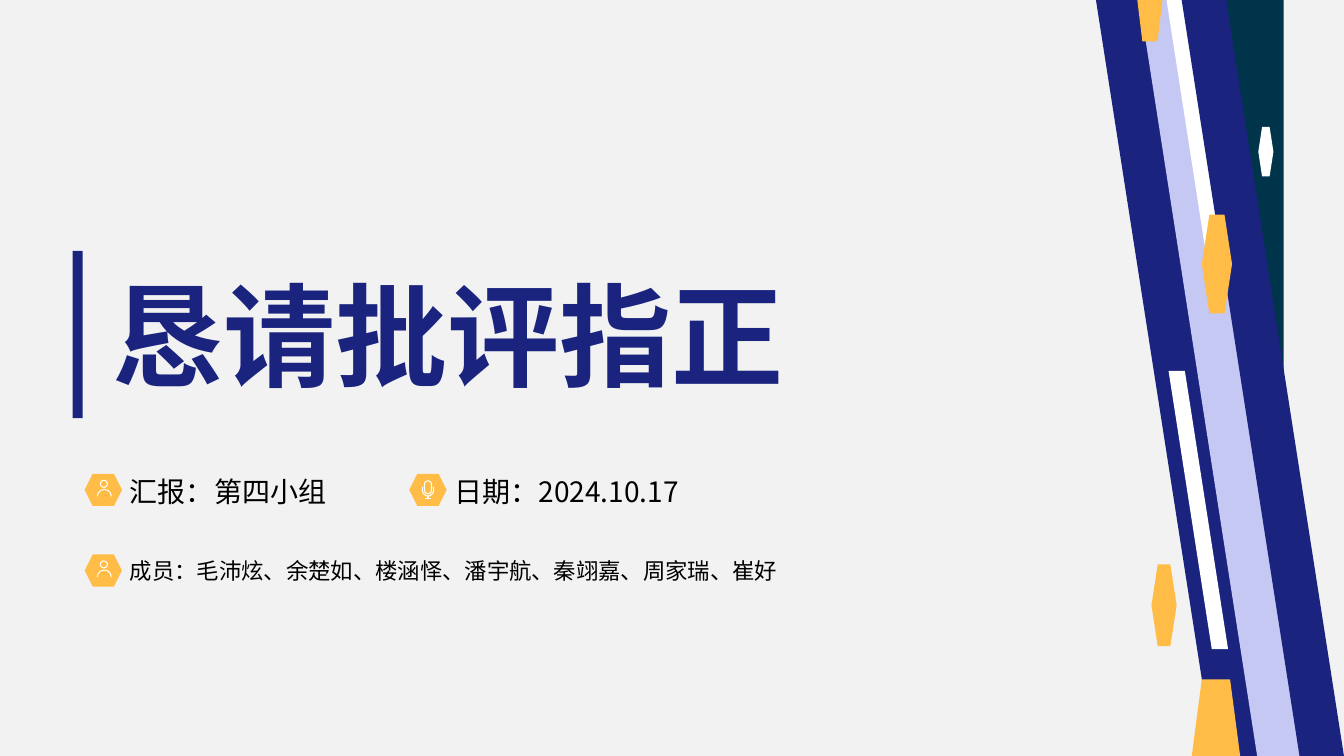
from math import cos, pi, sin

from lxml import etree
from pptx import Presentation
from pptx import util as u
from pptx.dml.color import RGBColor
from pptx.enum import shapes, text
from pptx.oxml.ns import qn

PX = 9144  # EMU; 100 px to the inch
FONT = "Noto Sans CJK SC"
NAVY, LILAC, TEAL = "1A237E", "C4C8F3", "00344A"
AMBER, WHITE, BLACK, PALE = "FFBD47", "FFFFFF", "000000", "F2F2F2"
PRESET = shapes.MSO_SHAPE


def px(length):
    return u.Emu(round(length * PX))


def color(hex_string):
    return RGBColor.from_string(hex_string)


def paint(shape, fill=None, line=None):
    shape.shadow.inherit = False
    if fill:
        shape.fill.solid()
        shape.fill.fore_color.rgb = color(fill)
    else:
        shape.fill.background()
    if line:
        shape.line.color.rgb = color(line)
        shape.line.width = u.Pt(0.75)
    else:
        shape.line.fill.background()
    return shape


def add_preset(slide, preset, box, fill=None, line=None):
    shape = slide.shapes.add_shape(preset, *map(px, box))
    return paint(shape, fill, line)


def add_outline(slide, points, fill=None, line=None):
    """Draw a polygon when filled, an open polyline otherwise."""
    points = [(px(x), px(y)) for x, y in points]
    builder = slide.shapes.build_freeform(*points[0])
    builder.add_line_segments(points[1:], close=bool(fill))
    return paint(builder.convert_to_shape(), fill, line)


def add_line(slide, x1, y1, x2, y2):
    connector = slide.shapes.add_connector(
        shapes.MSO_CONNECTOR.STRAIGHT, px(x1), px(y1), px(x2), px(y2))
    connector.line.color.rgb = color(WHITE)
    connector.line.width = u.Pt(0.75)
    etree.SubElement(connector._element.spPr, qn("a:effectLst"))


def add_text(slide, box, words, size, ink, bold=False, inset=True):
    shape = slide.shapes.add_textbox(*map(px, box))
    frame = shape.text_frame
    frame.word_wrap = not inset
    frame.auto_size = text.MSO_AUTO_SIZE.SHAPE_TO_FIT_TEXT
    if not inset:
        frame.margin_left = frame.margin_right = 0
        frame.margin_top = frame.margin_bottom = 0
    frame.text = words
    font = frame.paragraphs[0].runs[0].font
    font.name, font.size, font.bold = FONT, u.Pt(size), bold
    font.color.rgb = color(ink)
    properties = font._element
    etree.SubElement(properties, qn("a:ea")).set("typeface", FONT)


def add_band(slide, box, fill):
    """Draw a strip that leans to the right on its way down."""
    band = add_preset(slide, PRESET.PARALLELOGRAM, box, fill)
    band.adjustments[0] = 0.726
    band._element.spPr.get_or_add_xfrm().set("flipH", "1")


def add_decoration(slide, left, top, height):
    triangle = add_preset(slide, PRESET.RIGHT_TRIANGLE,
                          (left + 75, top, 111, 416), TEAL)
    triangle.rotation = 180
    for dx, dy, width, band_height, fill in (
            (0, 0, 161, height, NAVY), (43, 0, 161, height, LILAC),
            (70, 0, 59, 276, WHITE), (85, 0, 161, height, NAVY),
            (72, 368, 59, 276, WHITE)):
        add_band(slide, (left + dx, top + dy, width, band_height), fill)
    for dx, dy, width, gem_height, fill in (
            (105, 213, 30, 98, AMBER), (55, 560, 25, 81, AMBER),
            (161, 126, 15, 49, WHITE)):
        add_preset(slide, PRESET.HEXAGON,
                   (left + dx, top + dy, width, gem_height), fill)
    for gem in (((105, 674), (133, 674), (143, height), (95, height)),
                ((41, 0), (66, 0), (61, 41), (46, 41))):
        add_outline(slide, [(left + x, top + y) for x, y in gem], AMBER)


def add_person(slide, left, top):
    head = add_preset(slide, PRESET.DONUT, (left + 15, top + 6, 8, 8), WHITE)
    head.adjustments[0] = 0.13
    shoulders = add_preset(slide, PRESET.BLOCK_ARC,
                           (left + 12, top + 15, 15, 15), WHITE)
    shoulders.adjustments[2] = 0.07


def add_microphone(slide, left, top):
    capsule = add_preset(slide, PRESET.ROUNDED_RECTANGLE,
                         (left + 15, top + 7, 7, 13), line=WHITE)
    capsule.adjustments[0] = 0.5
    center, bend, radius = left + 18.5, top + 16.5, 5.5
    arc = [(center - radius * cos(pi * step / 12),
            bend + radius * sin(pi * step / 12)) for step in range(13)]
    cup = [(center - radius, top + 13), *arc, (center + radius, top + 13)]
    add_outline(slide, cup, line=WHITE)
    base = top + 25
    add_line(slide, center, bend + radius, center, base)
    add_line(slide, center - 3, base, center + 3, base)


def add_detail(slide, left, top, icon, words, size, text_box):
    """Place a badge with its icon and the words beside it."""
    add_preset(slide, PRESET.HEXAGON, (left, top, 37, 32), AMBER)
    icon(slide, left, top)
    dy, width, height = text_box
    add_text(slide, (left + 35, top + dy, width, height), words, size, BLACK)


def add_title(slide, left, top, width, height):
    add_preset(slide, PRESET.RECTANGLE, (left, top, 10, height), NAVY)
    add_text(slide, (left + 39, top + 15, width - 39, 135), "恳请批评指正",
             80, NAVY, bold=True, inset=False)


def add_closing_slide(presentation):
    slide = presentation.slides.add_slide(presentation.slide_layouts[6])
    slide.background.fill.solid()
    slide.background.fill.fore_color.rgb = color(PALE)
    add_decoration(slide, 1087, 0, 750)
    add_title(slide, 72, 249, 975, 166)
    add_detail(slide, 84, 470, add_person, "汇报：第四小组", 20, (-4, 217, 44))
    add_detail(slide, 406, 470, add_microphone, "日期：2024.10.17", 20,
               (-4, 250, 44))
    add_detail(slide, 84, 550, add_person,
               "成员：毛沛炫、余楚如、楼涵怿、潘宇航、秦翊嘉、周家瑞、崔好",
               16, (-2, 664, 37))


def main():
    presentation = Presentation()
    presentation.slide_width, presentation.slide_height = px(1333), px(750)
    add_closing_slide(presentation)
    presentation.save("out.pptx")


if __name__ == "__main__":
    main()
